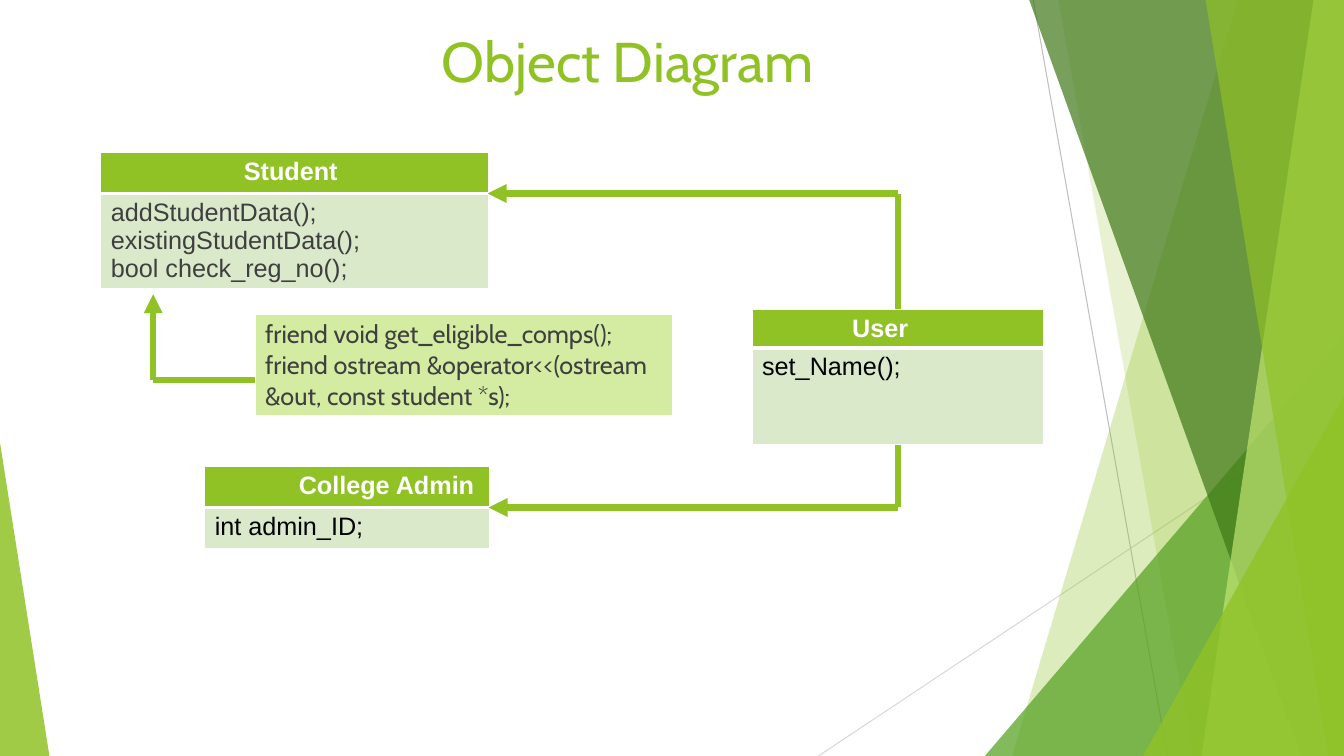
from lxml.etree import SubElement
from pptx import Presentation
from pptx.dml.color import RGBColor
from pptx.enum.shapes import MSO_CONNECTOR, MSO_SHAPE
from pptx.enum.text import MSO_ANCHOR, PP_ALIGN
from pptx.oxml.ns import qn
from pptx.util import Inches, Pt

HUES = {
    "lime": "90C226", "leaf": "54A021", "moss": "3F7818", "pale": "BFE471",
    "mint": "DBE9CB", "note": "D4ECA1", "white": "FFFFFF", "black": "000000",
    "ink": "3F3F3F", "gray": "BFBFBF", "mist": "D8D8D8",
}
WIDE, HIGH = Inches(13.33), Inches(7.5)

# Boxes: left, top, width and row heights, in percent of the slide
USER = (55.96, 40.93, 21.68, (5.07, 12.8))
STUDENT = (7.5, 20.13, 28.88, (5.47, 12.53))
FRIEND = (18.98, 41.6, 31.05, (13.33,))
ADMIN = (15.23, 61.73, 21.23, (5.4, 5.4))


def across(share):
    return round(WIDE * share / 100)


def down(share):
    return round(HIGH * share / 100)


def color(name):
    return RGBColor.from_string(HUES[name])


def style(frame, font, size, hue, bold=False):
    for para in frame.paragraphs:
        for run in para.runs:
            run.font.name, run.font.size = font, Pt(size)
            run.font.bold = bold
            run.font.color.rgb = color(hue)


def tint(shape, hue, alpha):
    shape.shadow.inherit = False
    shape.line.fill.background()
    shape.fill.solid()
    shape.fill.fore_color.rgb = color(hue)
    tone = shape.fill._xPr.find(qn("a:solidFill"))[0]
    SubElement(tone, qn("a:alpha"), val=str(alpha * 1000))


def link(slide, start, end, hue="lime", width=4.5, arrow=False):
    line = slide.shapes.add_connector(
        MSO_CONNECTOR.STRAIGHT, across(start[0]), down(start[1]),
        across(end[0]), down(end[1]))
    line.line.color.rgb = color(hue)
    line.line.width = Pt(width)
    if arrow:
        SubElement(line.line._get_or_add_ln(), qn("a:tailEnd"), type="triangle")
    SubElement(line._element.spPr, qn("a:effectLst"))


def blade(slide, top, foot, hue, alpha):
    """Band from a slanted left edge to the right side of the slide."""
    form = slide.shapes.build_freeform(across(top), 0)
    form.add_line_segments(
        [(WIDE, 0), (WIDE, HIGH), (across(foot), HIGH)], close=True)
    tint(form.convert_to_shape(), hue, alpha)


def wedge(slide, left, top, width, tip, hue, alpha):
    """Right triangle standing on the bottom of the slide."""
    shape = slide.shapes.add_shape(
        MSO_SHAPE.ISOSCELES_TRIANGLE, across(left), down(top),
        across(width), down(100 - top))
    shape.adjustments[0] = tip
    tint(shape, hue, alpha)


def backdrop(slide):
    link(slide, (76.88, 0), (86.87, 100), "gray", 0.75)
    link(slide, (100, 53.73), (60.9, 100), "mist", 0.75)
    blade(slide, 92.1, 75.3, "lime", 30)
    blade(slide, 78.75, 88.73, "lime", 20)
    wedge(slide, 73.28, 44.4, 26.72, 1, "leaf", 72)
    blade(slide, 76.58, 96.83, "moss", 70)
    blade(slide, 97.73, 89.4, "pale", 70)
    blade(slide, 89.7, 98.85, "lime", 65)
    wedge(slide, 85.05, 52.4, 14.95, 1, "lime", 80)
    wedge(slide, 0, 58.53, 3.68, 0, "lime", 85)


def heading(slide, text):
    title = slide.shapes.title
    title.left, title.top = across(27.98), down(2.8)
    title.width, title.height = across(37.43), down(10.27)
    frame = title.text_frame
    frame.text = text
    frame.vertical_anchor = MSO_ANCHOR.MIDDLE
    frame.paragraphs[0].alignment = PP_ALIGN.CENTER
    style(frame, "Cabin", 40, "lime")


def edge(cell, base):
    """White borders, with a bottom line of the given width."""
    props = cell._tc.get_or_add_tcPr()
    for side, width in zip("LRTB", (1, 1, 1, base)):
        line = SubElement(props, qn("a:ln" + side), w=str(Pt(width)))
        fill = SubElement(line, qn("a:solidFill"))
        SubElement(fill, qn("a:srgbClr"), val=HUES["white"])


def card(slide, box, cells):
    """Table of one column; a cell is text, fill, ink, font, bold, indent."""
    left, top, width, rows = box
    table = slide.shapes.add_table(
        len(rows), 1, across(left), down(top),
        across(width), down(sum(rows))).table
    table.first_row = table.horz_banding = False
    for index, (text, fill, ink, font, bold, indent) in enumerate(cells):
        table.rows[index].height = down(rows[index])
        cell = table.cell(index, 0)
        cell.text = text
        cell.margin_left = across(indent)
        edge(cell, 3 if index == 0 else 1)
        cell.fill.solid()
        cell.fill.fore_color.rgb = color(fill)
        style(cell.text_frame, font, 18, ink, bold)


def entry(slide, box, name, indent, body, ink):
    """Class card: a bold name above its members."""
    card(slide, box, [(name, "lime", "white", "Arial", True, indent),
                      (body, "mint", ink, "Arial", False, 0.75)])


def arrows(slide):
    left, top, width, rows = USER
    mid = left + width / 2
    ends = ((STUDENT, top), (ADMIN, top + sum(rows)))
    for (x, y, wide, parts), start in ends:
        level = y + parts[0]
        link(slide, (mid, start), (mid, level))
        link(slide, (mid, level), (x + wide - 0.1, level), arrow=True)
    # From the friend box up to Student
    turn = (11.4, 50.27)
    link(slide, (FRIEND[0], turn[1]), turn)
    link(slide, turn, (turn[0], 38.93), arrow=True)


def diagram(slide):
    entry(slide, USER, "User", 7.45, "set_Name();", "black")
    entry(slide, STUDENT, "Student", 10.65,
          "addStudentData();\nexistingStudentData();\nbool check_reg_no();",
          "ink")
    card(slide, FRIEND, [(
        "friend void get_eligible_comps();\n"
        "friend ostream &operator<<(ostream &out, const student *s);",
        "note", "ink", "Cabin", False, 0.75)])
    entry(slide, ADMIN, "College Admin", 7, "int admin_ID;", "black")
    arrows(slide)


def main():
    deck = Presentation()
    deck.slide_width, deck.slide_height = WIDE, HIGH
    slide = deck.slides.add_slide(deck.slide_layouts[5])
    backdrop(slide)
    heading(slide, "Object Diagram")
    diagram(slide)
    deck.save("out.pptx")


if __name__ == "__main__":
    main()
